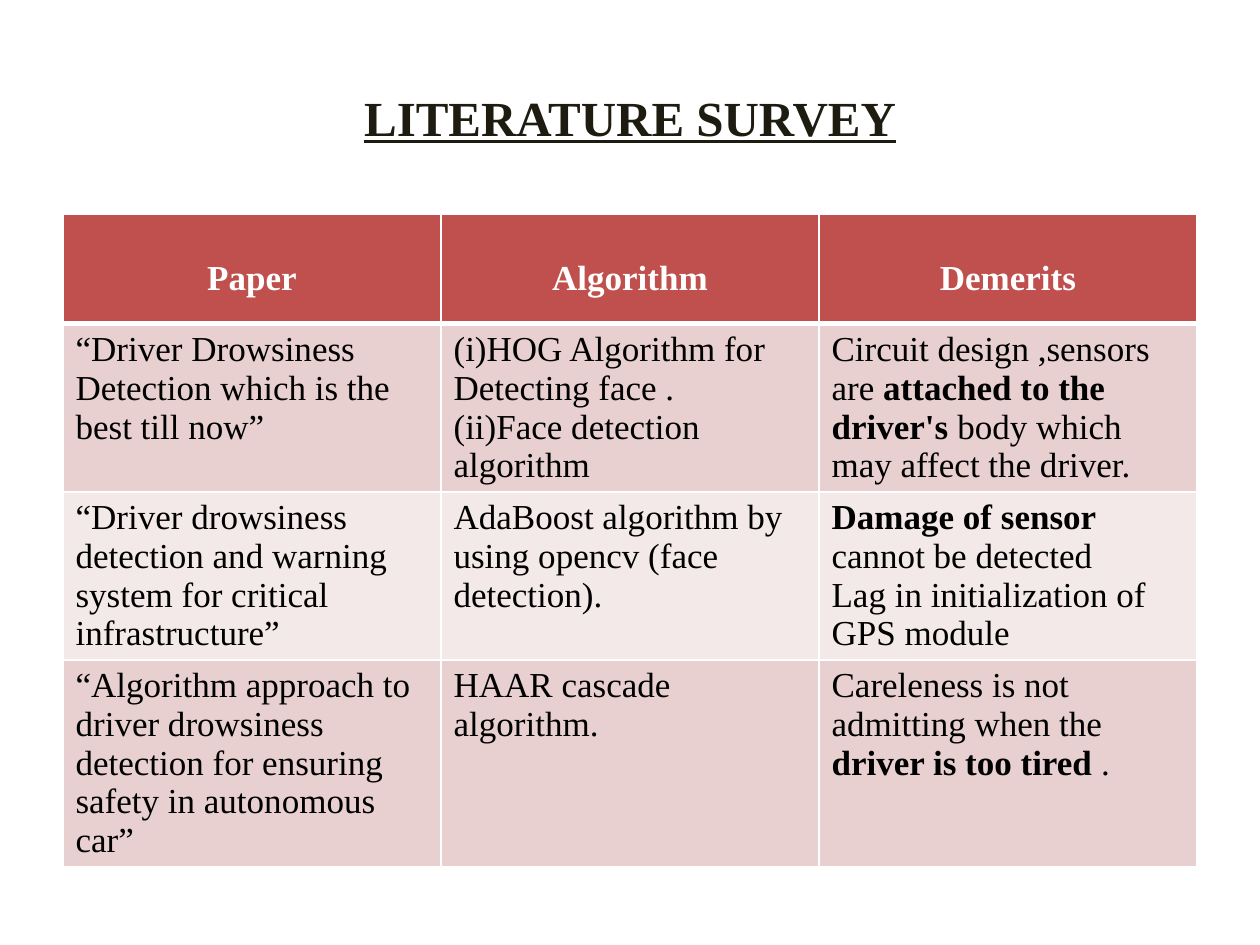
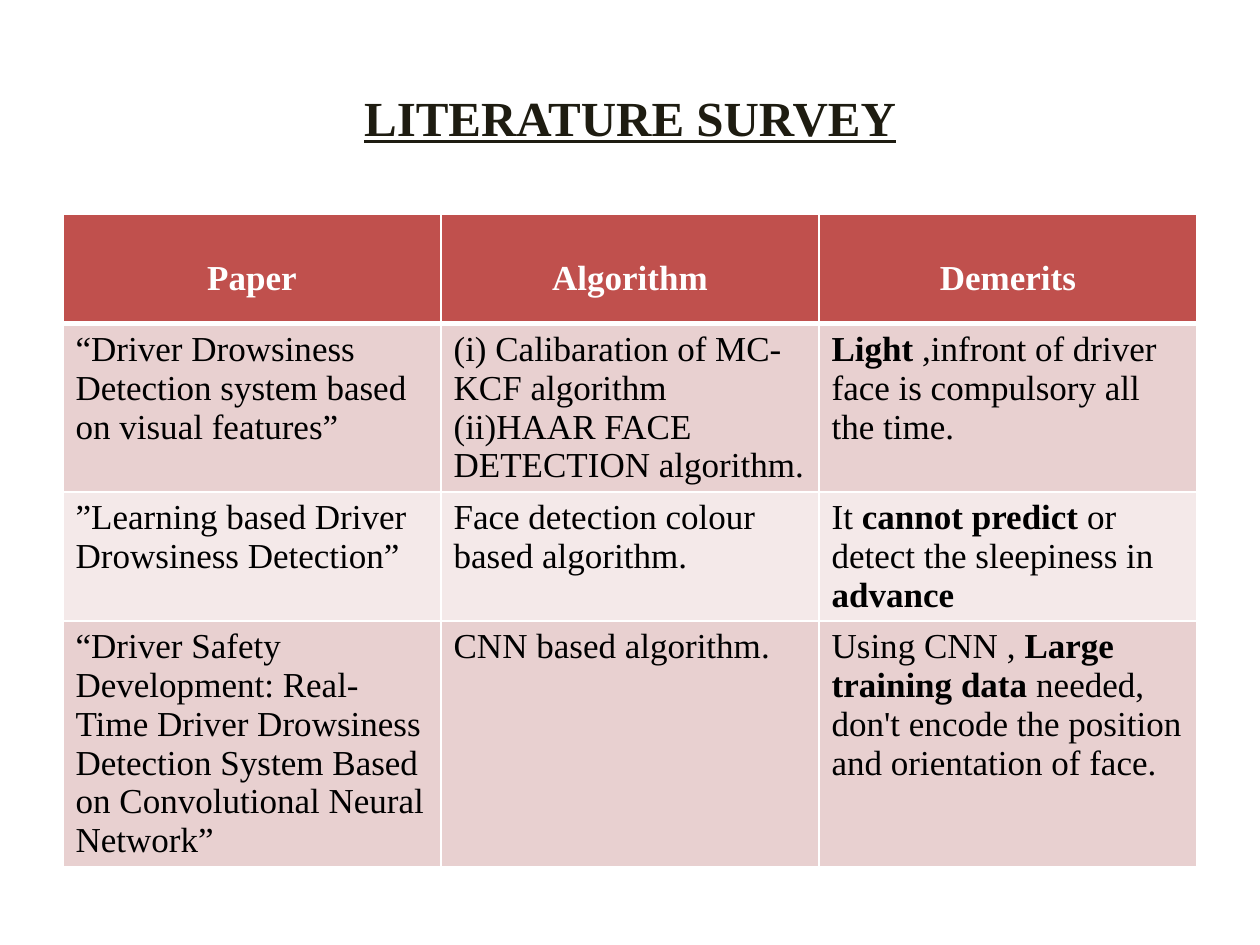
from lxml import etree
from pptx import Presentation
from pptx.dml.color import RGBColor
from pptx.enum import text
from pptx.oxml import ns
from pptx.util import Inches, Pt

FONT = "Times New Roman"
TITLE_COLOR = RGBColor(0x1E, 0x1C, 0x11)
HEADER_FILL = RGBColor(0xC0, 0x50, 0x4D)
BAND_FILLS = (RGBColor(0xE8, 0xD0, 0xD0), RGBColor(0xF4, 0xE9, 0xE9))
WHITE = RGBColor(0xFF, 0xFF, 0xFF)
BLACK = RGBColor(0, 0, 0)

TITLE = "LITERATURE SURVEY"
HEADINGS = ("Paper", "Algorithm", "Demerits")
COLUMN_WIDTH = 3
ROW_HEIGHT = 0.87  # minimum; rows grow with their text
LINE, HEAVY_LINE = 1, 3

# One list of rows per slide; ** marks bold, a line break starts a paragraph
SURVEYS = (
    (
        ("“Driver Drowsiness Detection which is the best till now”",
         "(i)HOG Algorithm for Detecting face .\n(ii)Face detection algorithm",
         "Circuit design ,sensors are **attached to the driver's **"
         "body which may affect the driver."),
        ("“Driver drowsiness detection and warning system for critical "
         "infrastructure”",
         "AdaBoost algorithm by using opencv (face detection).",
         "**Damage of sensor **cannot be detected\n"
         "Lag in initialization of GPS module"),
        ("“Algorithm approach to driver drowsiness detection for ensuring "
         "safety in autonomous car”",
         "HAAR cascade algorithm.",
         "Careleness is not admitting when the **driver is too tired **."),
    ),
    (
        ("“Driver Drowsiness Detection system based on visual features”",
         "(i) Calibaration of MC-KCF algorithm\n"
         "(ii)HAAR FACE DETECTION algorithm.",
         "**Light** ,infront of driver face is compulsory all the time."),
        ("”Learning based Driver Drowsiness Detection”",
         "Face detection colour based algorithm.",
         "It **cannot predict **or detect the sleepiness in **advance**"),
        ("“Driver Safety Development: Real-Time Driver Drowsiness Detection "
         "System Based on Convolutional Neural Network”",
         "CNN based algorithm.",
         "Using CNN , **Large training data** needed, don't encode the "
         "position and orientation of face."),
    ),
)


def style(font, size, color):
    font.name = FONT
    font.size = Pt(size)
    font.color.rgb = color


def add_title(slide):
    title = slide.shapes.title
    title.left, title.top = Inches(0.5), Inches(0.3)
    title.width, title.height = Inches(9), Inches(1.25)
    title.text_frame.text = TITLE
    title.text_frame.vertical_anchor = text.MSO_ANCHOR.MIDDLE
    heading = title.text_frame.paragraphs[0]
    heading.alignment = text.PP_ALIGN.CENTER
    style(heading.font, 28, TITLE_COLOR)
    heading.font.bold = heading.font.underline = True


def set_borders(cell, top, bottom):
    """Draw white borders; widths in points."""
    properties = cell._tc.get_or_add_tcPr()
    edges = (("lnL", LINE), ("lnR", LINE), ("lnT", top), ("lnB", bottom))
    for position, (edge, width) in enumerate(edges):
        border = etree.Element(ns.qn(f"a:{edge}"), w=str(Pt(width)))
        fill = etree.SubElement(border, ns.qn("a:solidFill"))
        etree.SubElement(fill, ns.qn("a:srgbClr"), val=str(WHITE))
        properties.insert(position, border)


def fill_cell(cell, content, fill, color):
    cell.fill.solid()
    cell.fill.fore_color.rgb = fill
    frame = cell.text_frame
    for number, line in enumerate(content.split("\n")):
        paragraph = frame.add_paragraph() if number else frame.paragraphs[0]
        style(paragraph.font, 20, color)
        for part, words in enumerate(line.split("**")):
            if words:
                run = paragraph.add_run()
                run.text = words
                run.font.bold = part % 2 == 1


def add_survey_table(slide, papers):
    row_count = len(papers) + 1
    table = slide.shapes.add_table(
        row_count, len(HEADINGS), Inches(0.5), Inches(1.7),
        Inches(COLUMN_WIDTH * len(HEADINGS)),
        Inches(ROW_HEIGHT * row_count)).table
    table.horz_banding = False

    # Header row, set lower in its cells
    for column, heading in enumerate(HEADINGS):
        cell = table.cell(0, column)
        fill_cell(cell, f"**{heading}**", HEADER_FILL, WHITE)
        cell.margin_top = Inches(0.36)
        cell.text_frame.paragraphs[0].alignment = text.PP_ALIGN.CENTER
        set_borders(cell, LINE, HEAVY_LINE)

    # One banded row per paper
    for row, paper in enumerate(papers, start=1):
        for column, content in enumerate(paper):
            cell = table.cell(row, column)
            fill_cell(cell, content, BAND_FILLS[(row - 1) % 2], BLACK)
            set_borders(cell, HEAVY_LINE if row == 1 else LINE, LINE)


def main():
    deck = Presentation()
    deck.slide_width, deck.slide_height = Inches(10), Inches(7.5)
    title_only = deck.slide_layouts[5]
    for papers in SURVEYS:
        slide = deck.slides.add_slide(title_only)
        add_title(slide)
        add_survey_table(slide, papers)
    deck.save("out.pptx")


if __name__ == "__main__":
    main()
